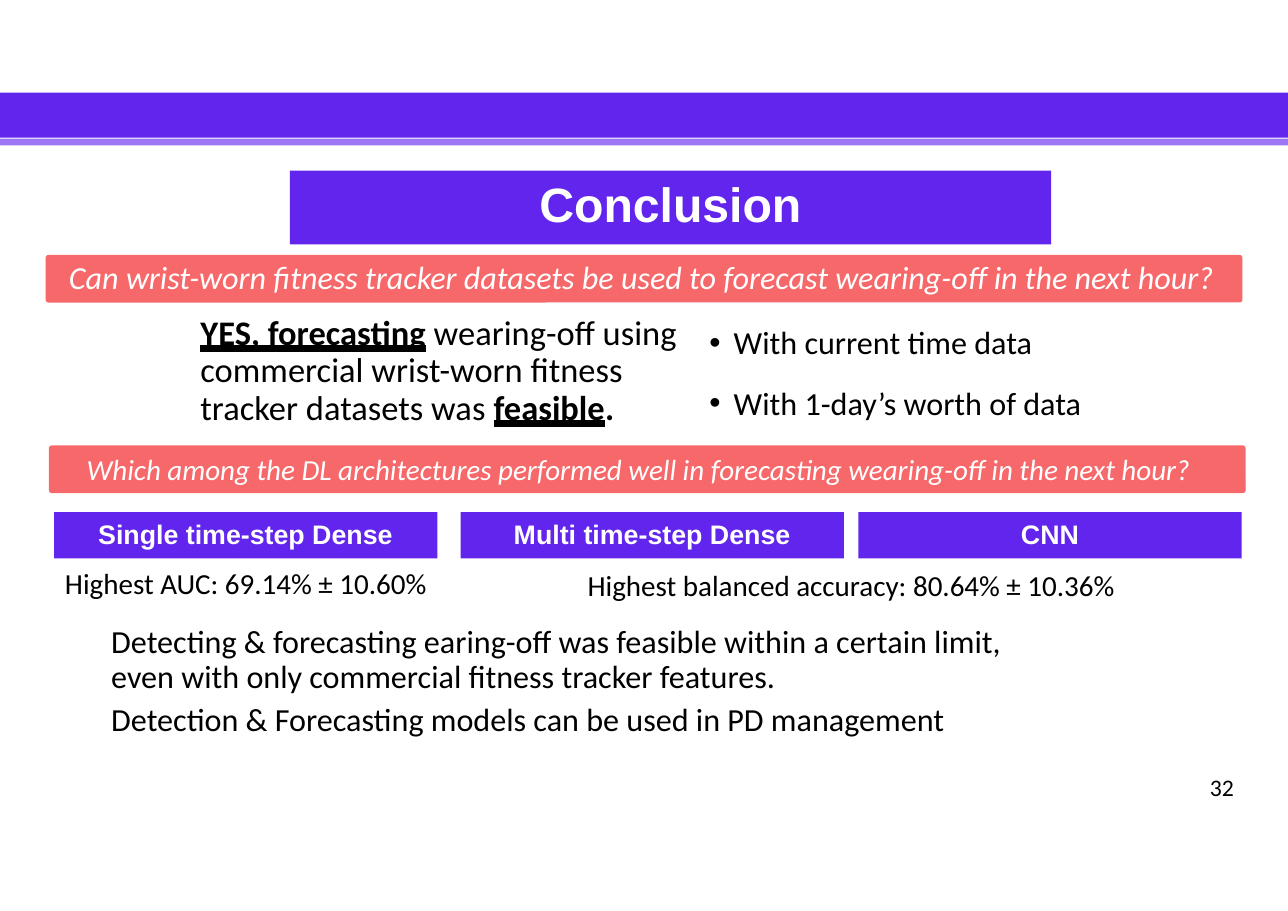
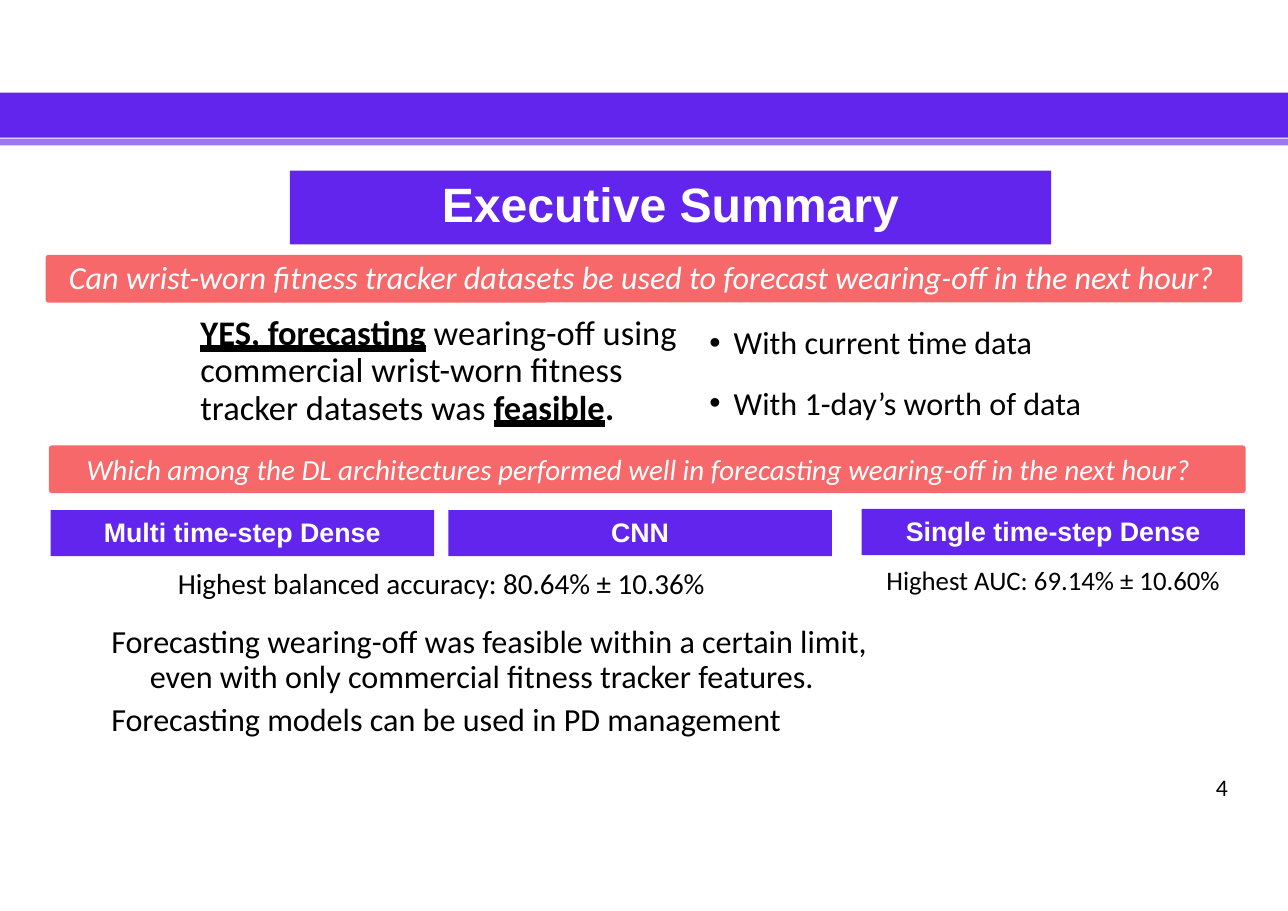
from dataclasses import dataclass

from lxml import etree
from pptx import Presentation
from pptx.dml.color import RGBColor
from pptx.enum.shapes import MSO_SHAPE
from pptx.enum.text import MSO_ANCHOR, MSO_UNDERLINE, PP_ALIGN
from pptx.oxml.ns import qn
from pptx.util import Inches, Pt

RECT = MSO_SHAPE.RECTANGLE
ROUNDED = MSO_SHAPE.ROUNDED_RECTANGLE
TOP = MSO_ANCHOR.TOP
LEFT, CENTER = PP_ALIGN.LEFT, PP_ALIGN.CENTER
HEAVY = MSO_UNDERLINE.HEAVY_LINE


@dataclass(frozen=True)
class Theme:
    purple: RGBColor = RGBColor(0x61, 0x25, 0xED)
    lilac: RGBColor = RGBColor(0x9D, 0x77, 0xF3)
    coral: RGBColor = RGBColor(0xF7, 0x68, 0x6A)
    white: RGBColor = RGBColor(0xFF, 0xFF, 0xFF)
    black: RGBColor = RGBColor(0, 0, 0)
    heading: str = "Arial"
    body: str = "Calibri"
    title_size: float = 31.5
    answer_size: float = 22.5
    body_size: float = 21
    result_size: float = 19
    small_size: float = 17.5
    number_size: float = 15.5


T = Theme()
WIDTH, HEIGHT = 11.69, 8.27
TAG_WIDTH, TAG_HEIGHT = 3.48, 0.42

QUESTIONS = [
    ("Can wrist-worn fitness tracker datasets be used to forecast "
     "wearing-off in the next hour?", 0.42, 2.32, 0.2, 0.01, T.body_size),
    ("Which among the DL architectures performed well in forecasting "
     "wearing-off in the next hour?", 0.45, 4.05, 0.33, 0.04, T.result_size),
]
ANSWER = [
    ("YES, forecasting", True, HEAVY),
    (" wearing-off using commercial wrist-worn fitness tracker datasets was ", False, None),
    ("feasible", True, HEAVY),
    (".", True, None),
]
INPUTS = ["With current time data", "With 1-day’s worth of data"]
SINGLE = "Single time-step Dense"
MULTI = "Multi time-step Dense"
BEST_AUC = "Highest AUC: 69.14% ± 10.60%"
BEST_ACCURACY = "Highest balanced accuracy: 80.64% ± 10.36%"


def set_frame(sp, top_inset, left_inset=0):
    tf = sp.text_frame
    tf.word_wrap = True
    tf.vertical_anchor = TOP
    tf.margin_left, tf.margin_top = Inches(left_inset), Inches(top_inset)
    tf.margin_right = tf.margin_bottom = 0
    return tf


def format_paragraph(p, size, color, font, align=LEFT, before=0, bold=False, italic=False):
    p.alignment = align
    p.space_before = Pt(before)
    for r in p.runs:
        r.font.name, r.font.size = font, Pt(size)
        r.font.color.rgb = color
        r.font.bold, r.font.italic = bold, italic


def indent(p, margin, first):
    pPr = p._p.get_or_add_pPr()
    pPr.set("marL", str(Inches(margin)))
    pPr.set("indent", str(Inches(first)))
    return pPr


def add_bullet(p):
    pPr = indent(p, 0.23, -0.22)
    etree.SubElement(pPr, qn("a:buFont")).set("typeface", T.heading)
    etree.SubElement(pPr, qn("a:buChar")).set("char", "•")


def add_box(s, left, top, width, height, fill, kind=RECT):
    sp = s.shapes.add_shape(kind, Inches(left), Inches(top), Inches(width), Inches(height))
    sp.shadow.inherit = False
    sp.fill.solid()
    sp.fill.fore_color.rgb = fill
    sp.line.fill.background()
    return sp


def add_text(s, left, top, width, height, lines, top_inset=0):
    sp = s.shapes.add_textbox(Inches(left), Inches(top), Inches(width), Inches(height))
    tf = set_frame(sp, top_inset)
    tf.text = "\n".join(lines)
    return tf


def add_heading(s, left, top, width, height, text, size, top_inset, before):
    tf = set_frame(add_box(s, left, top, width, height, T.purple), top_inset)
    tf.text = text
    format_paragraph(tf.paragraphs[0], size, T.white, T.heading, CENTER, before, bold=True)


def add_question(s, text, left, top, left_inset, top_inset, size):
    sp = add_box(s, left, top, 10.85, 0.42, T.coral, ROUNDED)
    sp.adjustments[0] = 0.05
    sp.line.color.rgb = T.coral
    sp.line.width = Pt(0.88)
    tf = set_frame(sp, top_inset, left_inset)
    tf.text = text
    format_paragraph(tf.paragraphs[0], size, T.white, T.body, before=1.1, italic=True)


def add_answer(s):
    tf = add_text(s, 1.82, 2.81, 4.4, 1.09, [], 0.05)
    p = tf.paragraphs[0]
    for text, _, _ in ANSWER:
        p.add_run().text = text
    format_paragraph(p, T.answer_size, T.black, T.body, before=3.6)
    p.line_spacing = 0.91
    for r, (_, bold, underline) in zip(p.runs, ANSWER):
        r.font.bold, r.font.underline = bold, underline


def add_inputs(s):
    tf = add_text(s, 6.43, 2.72, 3.4, 1.12, INPUTS, 0.21)
    for p, before in zip(tf.paragraphs, (15.2, 14.2)):
        format_paragraph(p, T.body_size, T.black, T.body, before=before)
        add_bullet(p)


def add_finding(s, tags, tag_top, result, result_top, size):
    for left, name in tags:
        add_heading(s, left, tag_top, TAG_WIDTH, TAG_HEIGHT, name, T.small_size, 0.05, 3.2)
    first, last = tags[0][0], tags[-1][0]
    tf = add_text(s, first, result_top, last + TAG_WIDTH - first, 0.35, [result], 0.02)
    format_paragraph(tf.paragraphs[0], size, T.black, T.body, CENTER, 1.2)


def add_closing(s, lines, width, margin, first):
    tf = add_text(s, 1, 5.63, width, 1.09, lines, 0.05)
    for p, before in zip(tf.paragraphs, (3.9, 3)):
        format_paragraph(p, T.body_size, T.black, T.body, before=before)
        indent(p, 0.01, 0)
    p = tf.paragraphs[0]
    p.line_spacing = Pt(22.7)
    indent(p, margin, first)


def add_page(prs, title, number):
    s = prs.slides.add_slide(prs.slide_layouts[6])
    add_box(s, 0, 0.84, WIDTH, 0.41, T.purple)
    add_box(s, 0, 1.26, WIDTH, 0.06, T.lilac)
    add_heading(s, 2.63, 1.55, 6.91, 0.67, title, T.title_size, 0.03, 2.3)
    for question in QUESTIONS:
        add_question(s, *question)
    add_answer(s)
    add_inputs(s)
    tf = add_text(s, 10.91, 7.02, 0.36, 0.27, [number])
    format_paragraph(tf.paragraphs[0], T.number_size, T.black, T.body, CENTER)
    return s


def main():
    prs = Presentation()
    prs.slide_width, prs.slide_height = Inches(WIDTH), Inches(HEIGHT)

    s = add_page(prs, "Conclusion", "32")
    add_finding(s, [(0.49, SINGLE)], 4.65, BEST_AUC, 5.11, T.result_size)
    add_finding(s, [(4.18, MULTI), (7.79, "CNN")], 4.65, BEST_ACCURACY, 5.13, T.result_size)
    add_closing(s, [
        "Detecting & forecasting earing-off was feasible within a certain limit, "
        "even with only commercial fitness tracker features.",
        "Detection & Forecasting models can be used in PD management",
    ], 8.13, 0.01, 0)

    s = add_page(prs, "Executive Summary", "4")
    add_finding(s, [(0.46, MULTI), (4.07, "CNN")], 4.63, BEST_ACCURACY, 5.11, T.result_size)
    add_finding(s, [(7.82, SINGLE)], 4.62, BEST_AUC, 5.1, T.small_size)
    add_closing(s, [
        "Forecasting wearing-off was feasible within a certain limit, "
        "even with only commercial fitness tracker features.",
        "Forecasting models can be used in PD management",
    ], 6.91, 0.36, -0.35)

    prs.save("out.pptx")


if __name__ == "__main__":
    main()
